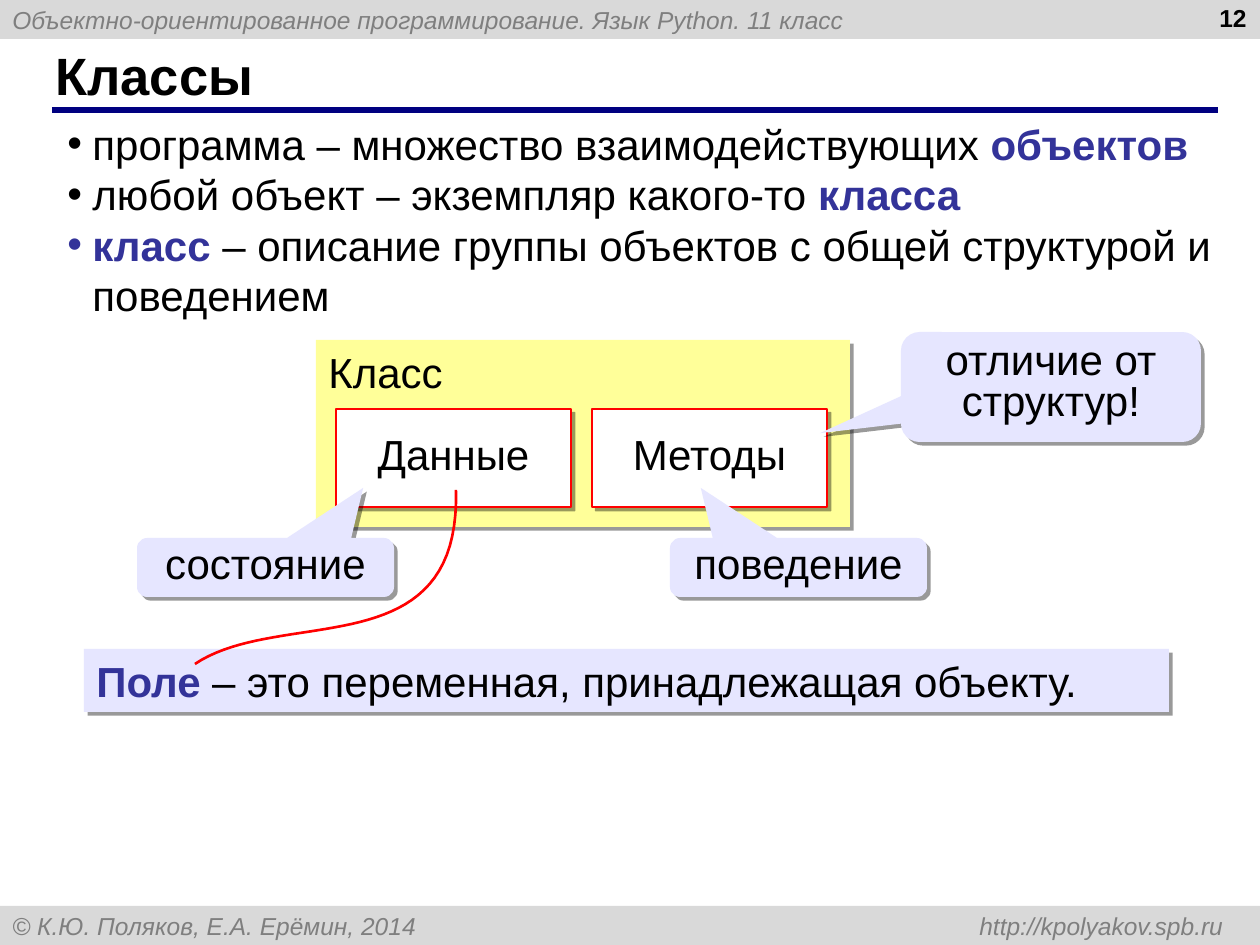
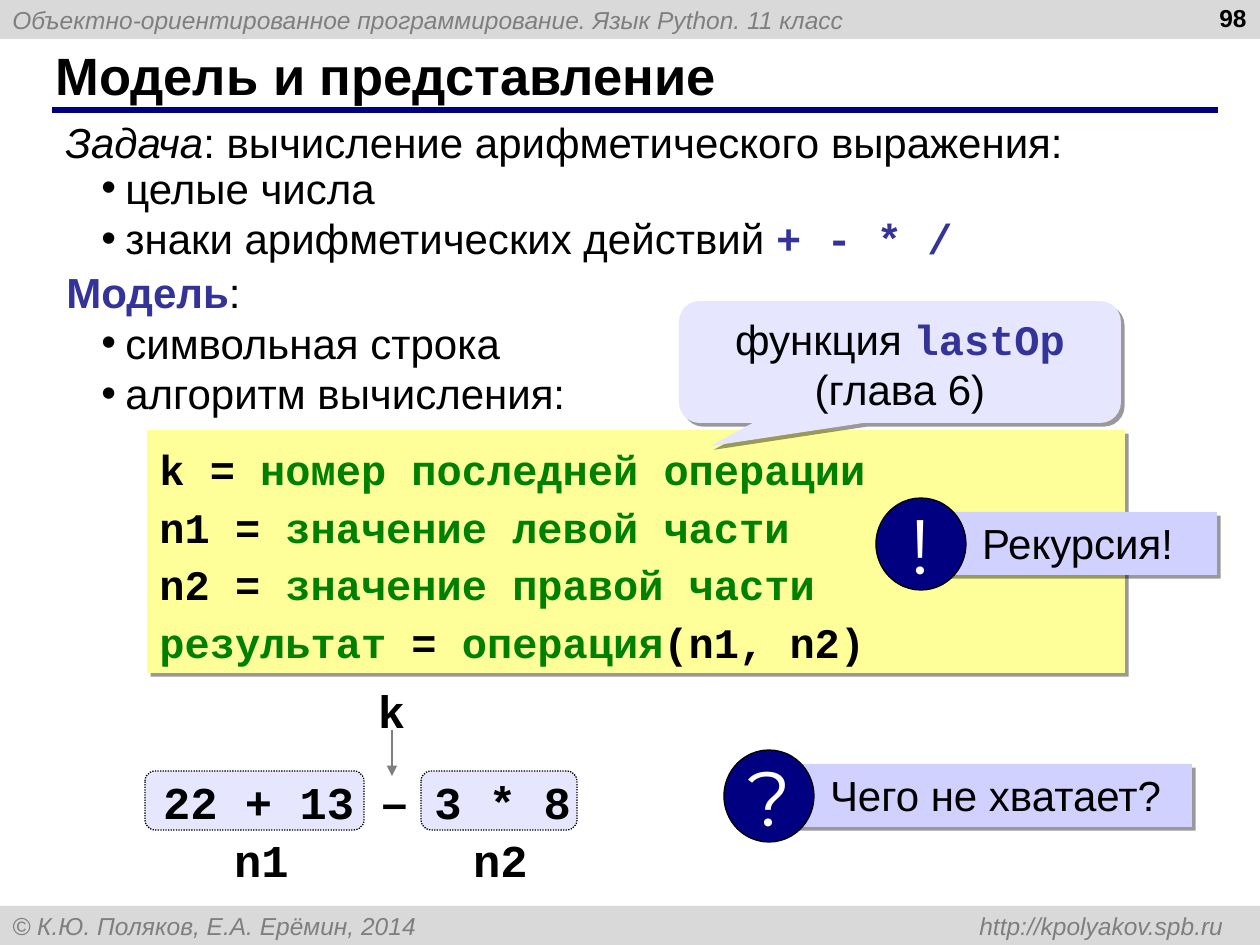
from lxml.etree import SubElement
from pptx import Presentation
from pptx.dml.color import RGBColor
from pptx.enum.dml import MSO_LINE
from pptx.enum.shapes import MSO_CONNECTOR, MSO_SHAPE
from pptx.enum.text import MSO_ANCHOR, PP_ALIGN
from pptx.oxml.ns import qn
from pptx.util import Pt

PX = 914400 / 126
SANS, MONO, SIGN = "Arial", "Courier New", "Montserrat"
BLACK, WHITE, RED = "000000", "FFFFFF", "FF0000"
GREY, BAND, NAVY = "7F7F7F", "D9D9D9", "000080"
BLUE, GREEN = "333399", "008000"
YELLOW, LILAC, VIOLET = "FFFF99", "E6E6FF", "D1D1FF"
TERM = {"color": BLUE, "bold": True}
CODE = {"color": BLUE, "bold": True, "name": MONO}
WORD = {"color": GREEN}
MATH = {"size": 26, "name": MONO, "bold": True}
TIGHT = (5, 5, 5, 0)
COURSE = "Объектно-ориентированное программирование. Язык Python. 11 класс"
CREDIT = "© К.Ю. Поляков, Е.А. Ерёмин, 2014\thttp://kpolyakov.spb.ru"


def px(value):
    return round(value * PX)


def rgb(code):
    return RGBColor.from_string(code)


def style(font, size=None, name=None, color=None, bold=None, italic=None):
    if size:
        font.size = Pt(size)
    if name:
        font.name = name
    if color:
        font.color.rgb = rgb(color)
    if bold is not None:
        font.bold = bold
    if italic is not None:
        font.italic = italic


def bullet(para, color, indent):
    props = para._p.get_or_add_pPr()
    props.set("marL", str(px(indent)))
    props.set("indent", str(-px(indent)))
    tint = SubElement(props, qn("a:buClr"))
    SubElement(tint, qn("a:srgbClr"), val=color)
    SubElement(props, qn("a:buFont"), typeface=SANS)
    SubElement(props, qn("a:buChar"), char="•")


def stop(para, pos):
    """Add a right tab stop."""
    tabs = SubElement(para._p.get_or_add_pPr(), qn("a:tabLst"))
    SubElement(tabs, qn("a:tab"), pos=str(px(pos)), algn="r")


def write(shape, paras, align=PP_ALIGN.LEFT, anchor=MSO_ANCHOR.TOP, lead=None,
          indent=0, tab=0, inset=None, wrap=True, **look):
    """Fill a shape; a paragraph is a string or a list of strings and (text, look) pairs."""
    frame = shape.text_frame
    frame.word_wrap = wrap
    frame.vertical_anchor = anchor
    if inset:
        (frame.margin_left, frame.margin_top,
         frame.margin_right, frame.margin_bottom) = map(px, inset)
    base = {"size": 24, "name": SANS, "color": BLACK} | look
    for i, parts in enumerate(paras):
        para = frame.add_paragraph() if i else frame.paragraphs[0]
        para.alignment = align
        if lead:
            para.line_spacing = lead
        runs = [(part, {}) if isinstance(part, str) else part
                for part in ([parts] if isinstance(parts, str) else parts)]
        if indent:
            bullet(para, runs[0][1].get("color", BLACK), indent)
        if tab:
            stop(para, tab)
        style(para.font, **base)
        for text, own in runs:
            run = para.add_run()
            run.text = text
            style(run.font, **own)


def label(slide, box, paras, **opts):
    write(slide.shapes.add_textbox(*map(px, box)), paras, **opts)


def shade(shape):
    """Give a shape a hard offset shadow."""
    effects = shape._element.spPr.find(qn("a:effectLst"))
    shadow = SubElement(effects, qn("a:outerShdw"), dist=str(Pt(3)),
                        dir="2700000", algn="ctr", rotWithShape="0")
    tint = SubElement(shadow, qn("a:srgbClr"), val=BLACK)
    SubElement(tint, qn("a:alpha"), val="40000")


def block(slide, kind, box, fill, line=None, width=1, shadow=False, adjust=()):
    shape = slide.shapes.add_shape(kind, *map(px, box))
    shape.shadow.inherit = False
    shape.fill.solid()
    shape.fill.fore_color.rgb = rgb(fill)
    if line:
        shape.line.color.rgb = rgb(line)
        shape.line.width = Pt(width)
    else:
        shape.line.fill.background()
    for i, value in enumerate(adjust):
        shape.adjustments[i] = value
    if shadow:
        shade(shape)
    return shape


def panel(slide, box, fill, paras, line=None, **opts):
    shape = block(slide, MSO_SHAPE.RECTANGLE, box, fill, line, shadow=True)
    write(shape, paras, **opts)


def callout(slide, box, tip, paras, lead=0.8):
    shape = block(slide, MSO_SHAPE.ROUNDED_RECTANGULAR_CALLOUT, box, LILAC,
                  shadow=True, adjust=(*tip, 0.17))
    write(shape, paras, align=PP_ALIGN.CENTER, lead=lead)


def line(slide, start, end, color, width):
    link = slide.shapes.add_connector(
        MSO_CONNECTOR.STRAIGHT, *map(px, start + end))
    link.line.color.rgb = rgb(color)
    link.line.width = Pt(width)
    SubElement(link._element.spPr, qn("a:effectLst"))
    return link


def arrow(slide, start, end):
    link = line(slide, start, end, GREY, 1.5)
    SubElement(link.line._get_or_add_ln(), qn("a:tailEnd"), type="triangle")


def curve(slide, points, steps=40):
    """Draw a cubic Bezier curve through its four control points."""
    def spot(t):
        weights = ((1 - t) ** 3, 3 * t * (1 - t) ** 2, 3 * t * t * (1 - t), t ** 3)
        return tuple(px(sum(w * p[axis] for w, p in zip(weights, points)))
                     for axis in (0, 1))

    path = [spot(i / steps) for i in range(steps + 1)]
    builder = slide.shapes.build_freeform(*path[0])
    builder.add_line_segments(path[1:], close=False)
    shape = builder.convert_to_shape()
    shape.shadow.inherit = False
    shape.fill.background()
    shape.line.color.rgb = rgb(RED)
    shape.line.width = Pt(1.5)


def badge(slide, left, top, width, sign, text):
    """Draw a round sign with a caption bar to its right."""
    panel(slide, (left + 70, top + 14, width, 63), VIOLET, [text],
          inset=(36, 6, 6, 6))
    disc = block(slide, MSO_SHAPE.OVAL, (left, top, 90, 92), NAVY, BLACK, 0.75)
    write(disc, [sign], align=PP_ALIGN.CENTER, anchor=MSO_ANCHOR.MIDDLE,
          wrap=False, size=44, name=SIGN, color=WHITE)


def chip(slide, left, width):
    shape = block(slide, MSO_SHAPE.ROUNDED_RECTANGLE, (left, 771, width, 59),
                  LILAC, BLACK, 0.75, adjust=[0.17])
    shape.line.dash_style = MSO_LINE.ROUND_DOT


def start(deck, title, number):
    """Add a slide with the shared bands, title and page number."""
    slide = deck.slides.add_slide(deck.slide_layouts[6])
    for top, text, tab in ((0, COURSE, 0), (906, CREDIT, 1211)):
        band = block(slide, MSO_SHAPE.RECTANGLE, (0, top, 1260, 39), BAND)
        write(band, [text], anchor=MSO_ANCHOR.MIDDLE, tab=tab,
              size=14, color=GREY, italic=True)
    line(slide, (52, 110), (1218, 110), NAVY, 3)
    label(slide, (43, 42, 1154, 66), [title], anchor=MSO_ANCHOR.MIDDLE,
          size=30, bold=True)
    label(slide, (965, -3, 294, 66), [str(number)], align=PP_ALIGN.RIGHT,
          size=14, bold=True)
    return slide


def classes(deck):
    slide = start(deck, "Классы", 12)
    label(slide, (55, 112, 1177, 214), [
        ["программа – множество взаимодействующих ", ("объектов", TERM)],
        ["любой объект – экземпляр какого-то ", ("класса", TERM)],
        [("класс", TERM),
         " – описание группы объектов с общей структурой и поведением"],
    ], indent=25, anchor=MSO_ANCHOR.MIDDLE)
    panel(slide, (316, 340, 534, 187), YELLOW, ["Класс"])
    for left, text in ((336, "Данные"), (592, "Методы")):
        panel(slide, (left, 409, 235, 98), WHITE, [text], RED, lead=0.8,
              align=PP_ALIGN.CENTER, anchor=MSO_ANCHOR.MIDDLE)
    callout(slide, (901, 332, 300, 110), (-0.77, 0.42), ["отличие от структур!"])
    callout(slide, (137, 538, 257, 59), (0.38, -1.35), ["состояние"])
    callout(slide, (670, 538, 257, 59), (-0.38, -1.35), ["поведение"])
    panel(slide, (84, 649, 1085, 63), LILAC,
          [[("Поле", TERM), " – это переменная, принадлежащая объекту."]])
    curve(slide, ((456, 490), (461, 668), (282, 606), (195, 664)))


def model(deck):
    slide = start(deck, "Модель и представление", 98)
    label(slide, (53, 110, 1155, 63), [
        [("Задача", {"italic": True}), ": вычисление арифметического выражения:"]])
    label(slide, (89, 156, 1123, 113), [
        "целые числа",
        ["знаки арифметических действий ", ("+ - * /", CODE)],
    ], indent=24)
    label(slide, (54, 260, 200, 63), [[("Модель", TERM), ":"]], wrap=False)
    label(slide, (89, 311, 1123, 113),
          ["символьная строка", "алгоритм вычисления:"], indent=24)
    panel(slide, (147, 430, 978, 243), YELLOW, [
        ["k = ", ("номер последней операции", WORD)],
        ["n1 = ", ("значение левой части", WORD)],
        ["n2 = ", ("значение правой части", WORD)],
        [("результат ", WORD), "= ", ("операция", WORD), "(n1, n2)"],
    ], name=MONO, bold=True, lead=1.14, anchor=MSO_ANCHOR.MIDDLE)
    chip(slide, 145, 219)
    chip(slide, 421, 156)
    label(slide, (158, 769, 457, 69),
          [["22 + 13 ", ("–", {"name": SANS}), " 3 * 8"]], inset=TIGHT, **MATH)
    arrow(slide, (392, 730), (392, 776))
    for left, top, text in ((181, 827, "n1"), (420, 827, "n2"), (311, 678, "k")):
        label(slide, (left, top, 161, 69), [text], align=PP_ALIGN.CENTER,
              inset=TIGHT, **MATH)
    callout(slide, (679, 301, 442, 122), (-0.43, 0.69),
            [["функция ", ("lastOp ", CODE), "(глава 6)"]], lead=None)
    badge(slide, 876, 498, 271, "!", "Рекурсия!")
    badge(slide, 724, 750, 398, "?", "Чего не хватает?")


def main():
    deck = Presentation()
    deck.slide_width, deck.slide_height = px(1260), px(945)
    classes(deck)
    model(deck)
    deck.save("out.pptx")


if __name__ == "__main__":
    main()
